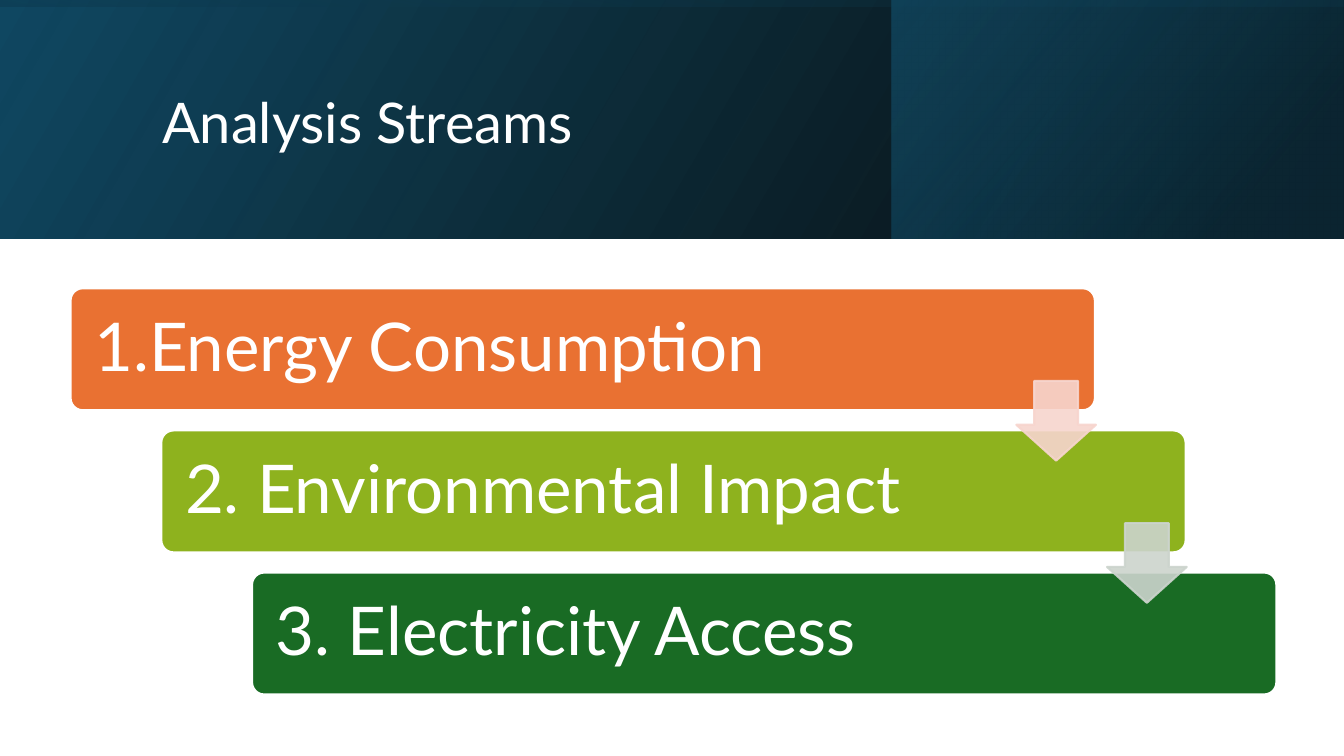
from pptx import Presentation
from pptx.dml.color import RGBColor
from pptx.enum.shapes import MSO_SHAPE
from pptx.enum.text import MSO_ANCHOR, PP_ALIGN
from pptx.oxml import parse_xml
from pptx.oxml.ns import nsdecls, qn
from pptx.util import Inches, Pt

RECTANGLE = MSO_SHAPE.RECTANGLE
ROUNDED = MSO_SHAPE.ROUNDED_RECTANGLE
DOWN_ARROW = MSO_SHAPE.DOWN_ARROW
MIDDLE = MSO_ANCHOR.MIDDLE
LEFT = PP_ALIGN.LEFT

FONT = "Lato"
COLORS = {
    "white": "FFFFFF",
    "black": "000000",
    "deep": "0B3041",
    "ocean": "104862",
    "teal": "156082",
    "orange": "E97132",
    "lime": "8EB21E",
    "green": "196B24",
    "blush": "F7D5CE",
    "mist": "CCD4CD",
}

# Header bands: left, top, width, height, rotation, angle, stops
# Each stop: position %, color, opacity %
BANDS = [
    (0, 0, 13.33, 2.37, 0, 330, [(0, "black", 96), (100, "ocean", 100)]),
    (8.84, 0, 4.48, 2.37, 0, 320, [(19, "deep", 68), (100, "teal", 48)]),
    (5.48, -5.48, 2.37, 13.33, 270, 350, [(23, "ocean", 16), (99, "black", 45)]),
]

# Each stream: label, bar color, color of the arrow to the next bar
STREAMS = [
    ("1.Energy Consumption", "orange", "blush"),
    ("2. Environmental Impact", "lime", "mist"),
    ("3. Electricity Access", "green", None),
]
BAR_LEFT, BAR_TOP, BAR_WIDTH, BAR_HEIGHT = 0.7, 2.86, 10.16, 1.21
STEP_X, STEP_Y = 0.9, 1.41
ARROW_X, ARROW_Y, ARROW_SIZE = 9.38, 0.92, 0.79


def rgb(name):
    return RGBColor.from_string(COLORS[name])


def add_shape(page, kind, left, top, width, height):
    shape = page.shapes.add_shape(
        kind, Inches(left), Inches(top), Inches(width), Inches(height))
    shape.shadow.inherit = False
    return shape


def paint(shape, fill, line):
    shape.fill.solid()
    shape.fill.fore_color.rgb = rgb(fill)
    shape.line.color.rgb = rgb(line)
    shape.line.width = Pt(1.5)


def write_text(shape, text, size):
    frame = shape.text_frame
    frame.word_wrap = True
    frame.vertical_anchor = MIDDLE
    para = frame.paragraphs[0]
    para.text = text
    para.alignment = LEFT
    para.line_spacing = 0.9
    para.font.name = FONT
    para.font.size = Pt(size)
    para.font.color.rgb = rgb("white")
    return frame


def add_band(page, left, top, width, height, rotation, angle, stops):
    band = add_shape(page, RECTANGLE, left, top, width, height)
    band.rotation = rotation
    band.line.fill.background()
    band.fill.background()
    properties = band._element.spPr
    properties.find(qn("a:xfrm")).set("flipH", "1")
    stop_xml = "".join(
        f'<a:gs pos="{position * 1000}"><a:srgbClr val="{COLORS[color]}">'
        f'<a:alpha val="{opacity * 1000}"/></a:srgbClr></a:gs>'
        for position, color, opacity in stops)
    gradient = parse_xml(
        f'<a:gradFill {nsdecls("a")} rotWithShape="1"><a:gsLst>{stop_xml}</a:gsLst>'
        f'<a:lin ang="{angle * 60000}" scaled="0"/></a:gradFill>')
    properties.replace(properties.find(qn("a:noFill")), gradient)


def add_title(page, text):
    box = page.shapes.add_textbox(
        Inches(1.51), Inches(0.38), Inches(10.63), Inches(1.72))
    write_text(box, text, 40)


def add_bar(page, left, top, label, color):
    bar = add_shape(page, ROUNDED, left, top, BAR_WIDTH, BAR_HEIGHT)
    bar.adjustments[0] = 0.1
    paint(bar, color, "white")
    frame = write_text(bar, label, 48)
    frame.margin_left = frame.margin_right = Inches(0.2)


def add_arrow(page, left, top, color):
    arrow = add_shape(page, DOWN_ARROW, left, top, ARROW_SIZE, ARROW_SIZE)
    arrow.adjustments[0] = 0.55
    arrow.adjustments[1] = 0.45
    paint(arrow, color, color)
    # Make fill and outline slightly transparent
    for tone in arrow._element.spPr.iter(qn("a:srgbClr")):
        tone.append(parse_xml(f'<a:alpha {nsdecls("a")} val="90000"/>'))


def main():
    deck = Presentation()
    deck.slide_width, deck.slide_height = Inches(13.33), Inches(7.5)
    page = deck.slides.add_slide(deck.slide_layouts[6])

    # Header
    for band in BANDS:
        add_band(page, *band)
    add_title(page, "Analysis Streams")

    # Staircase of bars, then the arrows on top
    corners = [(BAR_LEFT + i * STEP_X, BAR_TOP + i * STEP_Y)
               for i in range(len(STREAMS))]
    for (left, top), (label, color, _) in zip(corners, STREAMS):
        add_bar(page, left, top, label, color)
    for (left, top), (_, _, color) in zip(corners, STREAMS):
        if color:
            add_arrow(page, left + ARROW_X, top + ARROW_Y, color)

    deck.save("out.pptx")


if __name__ == "__main__":
    main()
